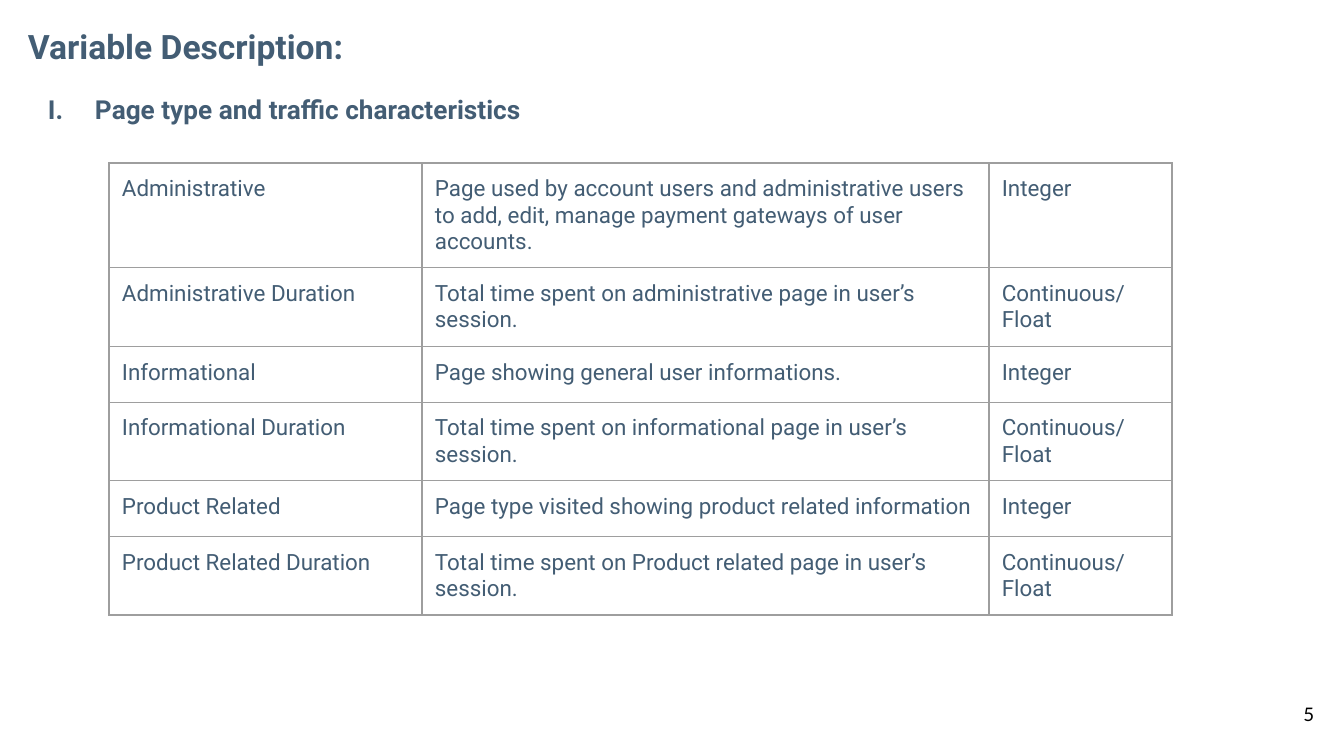
"""Build the slide that describes the page type and traffic variables."""
from pptx import Presentation
from pptx.dml.color import RGBColor
from pptx.enum.text import MSO_ANCHOR, MSO_AUTO_SIZE, PP_ALIGN
from pptx.oxml import parse_xml
from pptx.oxml.ns import nsdecls
from pptx.util import Emu, Pt

SLATE = RGBColor(0x43, 0x5D, 0x74)
GREY = RGBColor(0x9E, 0x9E, 0x9E)
BLACK = RGBColor(0x00, 0x00, 0x00)
EMU_PER_PX = 914400 / 134.4
INSET = 13
COLUMN_WIDTHS = (313, 567, 183)
ROW_HEIGHT = 56
INTEGER = ("Integer",)
FLOAT = ("Continuous/", "Float")
VARIABLES = (
    ("Administrative",
     "Page used by account users and administrative users to add, edit, "
     "manage payment gateways of user accounts.", INTEGER),
    ("Administrative Duration",
     "Total time spent on administrative page in user’s session.", FLOAT),
    ("Informational", "Page showing general user informations.", INTEGER),
    ("Informational Duration",
     "Total time spent on informational page in user’s session.", FLOAT),
    ("Product Related",
     "Page type visited showing product related information", INTEGER),
    ("Product Related Duration",
     "Total time spent on Product related page in user’s session.", FLOAT),
)


def px(length):
    return Emu(round(length * EMU_PER_PX))


def set_margins(target):
    target.margin_left = target.margin_right = px(INSET)
    target.margin_top = target.margin_bottom = px(INSET)


def add_run(paragraph, text, size, color=SLATE, font="Roboto", bold=False):
    run = paragraph.add_run()
    run.text = text
    run.font.name = font
    run.font.size = Pt(size)
    run.font.bold = bold
    run.font.color.rgb = color


def set_bullet(paragraph, margin, indent, *bullet_tags):
    properties = paragraph._p.get_or_add_pPr()
    properties.set("marL", str(px(margin)))
    properties.set("indent", str(px(indent)))
    for tag in bullet_tags:
        start, end = tag.split(" ", 1) if " " in tag else (tag, "")
        properties.append(parse_xml(f"<a:{start} {nsdecls('a')} {end}/>"))


def fill_body(slide):
    body = slide.placeholders[1]
    body.left, body.top, body.width, body.height = map(px, (15, 7, 1253, 694))
    frame = body.text_frame
    frame.word_wrap = True
    frame.auto_size = MSO_AUTO_SIZE.NONE
    frame.vertical_anchor = MSO_ANCHOR.TOP
    set_margins(frame)
    heading, item = frame.paragraphs[0], frame.add_paragraph()
    for paragraph, space, size, text in (
            (heading, 0, 18, "Variable Description:"),
            (item, 12, 14, "Page type and traffic characteristics")):
        paragraph.alignment = PP_ALIGN.LEFT
        paragraph.line_spacing = 1.15
        paragraph.space_before = Pt(space)
        add_run(paragraph, text, size, bold=True)
    set_bullet(heading, 0, 0, "buNone")
    set_bullet(item, 67, -47, 'buFont typeface="Roboto"',
               'buAutoNum type="romanUcPeriod"')


def set_borders(cell):
    properties = cell._tc.get_or_add_tcPr()
    for side in ("lnL", "lnR", "lnT", "lnB"):
        properties.append(parse_xml(
            f'<a:{side} {nsdecls("a")} w="{Pt(0.75)}"><a:solidFill>'
            f'<a:srgbClr val="{GREY}"/></a:solidFill></a:{side}>'))


def fill_cell(cell, lines):
    set_margins(cell)
    set_borders(cell)
    cell.fill.background()
    frame = cell.text_frame
    for index, line in enumerate(lines):
        paragraph = frame.add_paragraph() if index else frame.paragraphs[0]
        add_run(paragraph, line, 12)


def add_variable_table(slide):
    rows = len(VARIABLES)
    table = slide.shapes.add_table(
        rows, len(COLUMN_WIDTHS), px(109), px(163),
        px(sum(COLUMN_WIDTHS)), px(rows * ROW_HEIGHT)).table
    table.first_row = table.horz_banding = False
    for column, width in zip(table.columns, COLUMN_WIDTHS):
        column.width = px(width)
    for row, (name, description, kind) in zip(table.rows, VARIABLES):
        row.height = px(ROW_HEIGHT)
        for cell, lines in zip(row.cells, ((name,), (description,), kind)):
            fill_cell(cell, lines)


def add_page_number(slide, number):
    box = slide.shapes.add_textbox(px(1246), px(685), px(81), px(58))
    frame = box.text_frame
    frame.word_wrap = True
    frame.vertical_anchor = MSO_ANCHOR.MIDDLE
    set_margins(frame)
    paragraph = frame.paragraphs[0]
    paragraph.alignment = PP_ALIGN.RIGHT
    add_run(paragraph, number, 10, BLACK, "Lato")


def main():
    presentation = Presentation()
    presentation.slide_width, presentation.slide_height = px(1344), px(756)
    slide = presentation.slides.add_slide(presentation.slide_layouts[1])
    title = slide.shapes.title.element
    title.getparent().remove(title)
    fill_body(slide)
    add_variable_table(slide)
    add_page_number(slide, "5")
    presentation.save("out.pptx")


if __name__ == "__main__":
    main()
